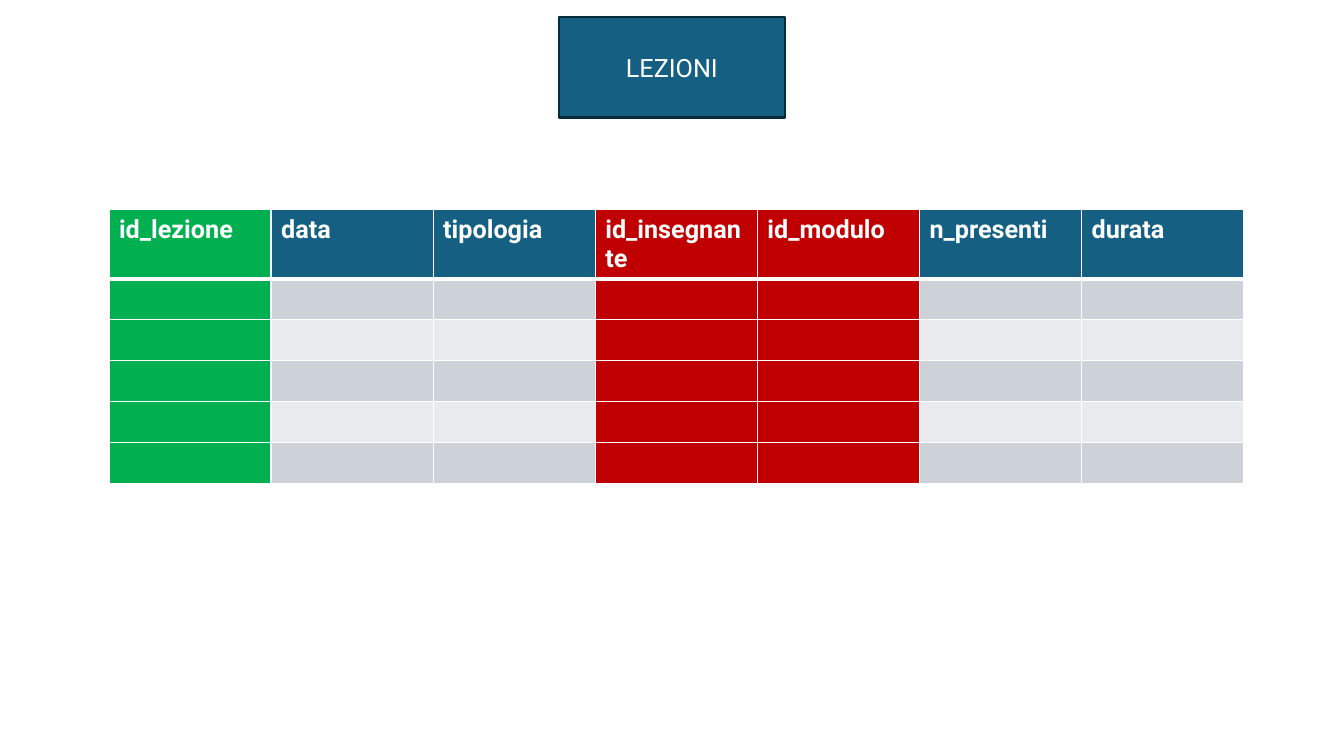
from lxml import etree
from pptx import Presentation
from pptx.dml.color import RGBColor
from pptx.enum.shapes import MSO_SHAPE
from pptx.enum.text import MSO_ANCHOR, PP_ALIGN
from pptx.oxml.ns import qn
from pptx.util import Pt

RECTANGLE = MSO_SHAPE.RECTANGLE
MIDDLE = MSO_ANCHOR.MIDDLE
CENTER = PP_ALIGN.CENTER

WHITE = RGBColor(0xFF, 0xFF, 0xFF)
BLUE = RGBColor(0x15, 0x60, 0x82)
NAVY = RGBColor(0x09, 0x2A, 0x39)
GREEN = RGBColor(0x00, 0xB0, 0x50)
RED = RGBColor(0xC0, 0x00, 0x00)
DARK_BAND = RGBColor(0xCC, 0xD2, 0xD8)
LIGHT_BAND = RGBColor(0xE8, 0xEA, 0xED)

TITLE_FONT = {"name": "Roboto", "size": Pt(18), "bold": False}
HEADER_FONT = {"name": "Roboto", "size": Pt(18), "bold": True}

FIELDS = ["id_lezione", "data", "tipologia", "id_insegnante",
          "id_modulo", "n_presenti", "durata"]
KEY_COLORS = {"id_lezione": GREEN, "id_insegnante": RED, "id_modulo": RED}
ROW_COUNT = 6


def write(paragraph, text, font_format):
    run = paragraph.add_run()
    run.text = text
    for attribute, value in font_format.items():
        setattr(run.font, attribute, value)
    run.font.color.rgb = WHITE


def set_borders(cell, widths):
    """Draw white borders; they stand before the fill in the cell properties."""
    properties = cell._tc.get_or_add_tcPr()
    for index, (side, width) in enumerate(widths.items()):
        line = etree.Element(qn(f"a:ln{side}"), w=str(Pt(width)))
        fill = etree.SubElement(line, qn("a:solidFill"))
        etree.SubElement(fill, qn("a:srgbClr"), val=str(WHITE))
        properties.insert(index, line)


def add_entity_box(slide, left, top, width, height):
    shape = slide.shapes.add_shape(
        RECTANGLE, Pt(left), Pt(top), Pt(width), Pt(height))
    shape.shadow.inherit = False
    shape.fill.solid()
    shape.fill.fore_color.rgb = BLUE
    shape.line.color.rgb = NAVY
    shape.line.width = Pt(1.5)
    shape.text_frame.vertical_anchor = MIDDLE
    paragraph = shape.text_frame.paragraphs[0]
    paragraph.alignment = CENTER
    write(paragraph, "LEZIONI", TITLE_FONT)


def add_field_table(slide, left, top, width, height):
    table = slide.shapes.add_table(
        ROW_COUNT, len(FIELDS), Pt(left), Pt(top), Pt(width), Pt(height)).table
    for row in range(ROW_COUNT):
        # Header in blue, then alternating bands
        band = BLUE if row == 0 else DARK_BAND if row % 2 else LIGHT_BAND
        widths = {"L": 1, "R": 1,
                  "T": 3 if row == 1 else 1, "B": 3 if row == 0 else 1}
        for column, field in enumerate(FIELDS):
            cell = table.cell(row, column)
            cell.fill.solid()
            cell.fill.fore_color.rgb = KEY_COLORS.get(field, band)
            set_borders(cell, widths)
            if row == 0:
                write(cell.text_frame.paragraphs[0], field, HEADER_FONT)


def main():
    presentation = Presentation()
    presentation.slide_width = Pt(960)
    presentation.slide_height = Pt(540)
    slide = presentation.slides.add_slide(presentation.slide_layouts[6])
    add_field_table(slide, 77.8, 149.8, 810.6, 175.2)
    add_entity_box(slide, 399.3, 12, 161.4, 72)
    presentation.save("out.pptx")


if __name__ == "__main__":
    main()
